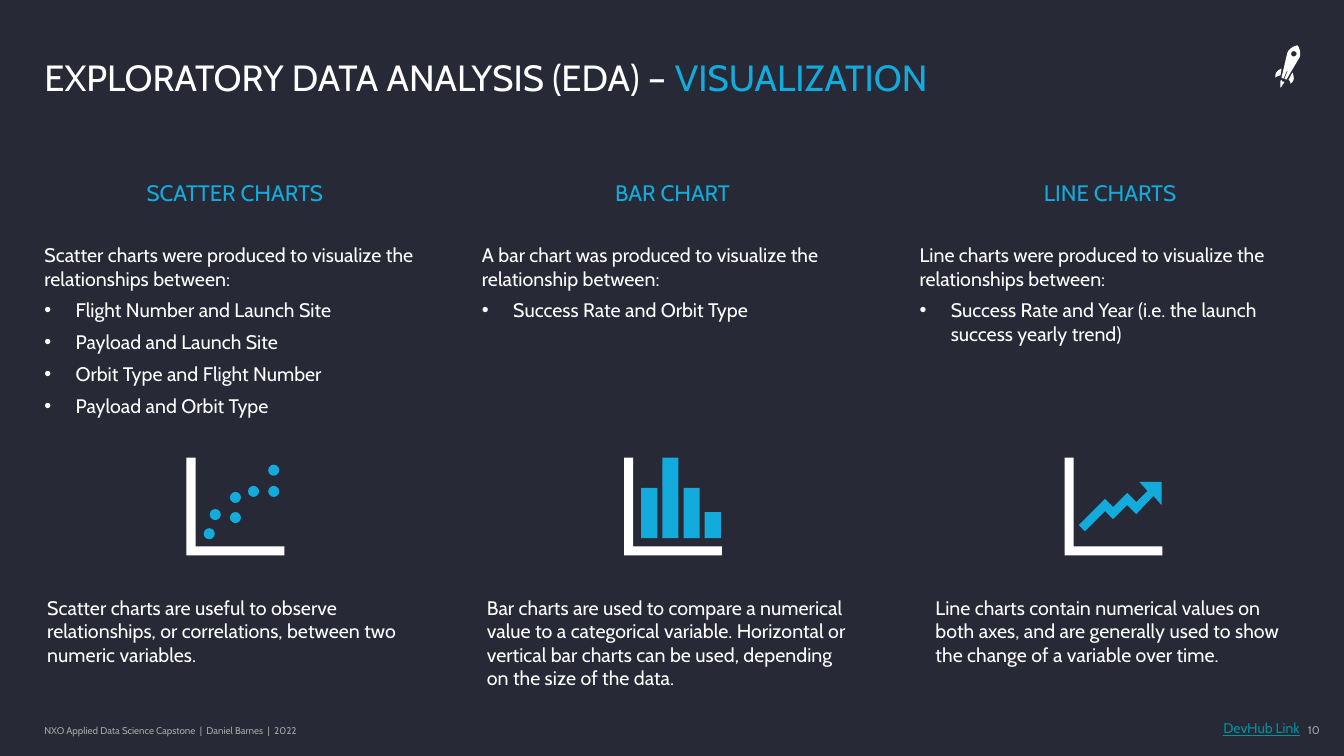
import pptx
import pptx.util
import pptx.dml.color
import pptx.enum.shapes
import pptx.enum.text
import pptx.oxml.ns
from lxml import etree

Inches = pptx.util.Inches
Pt = pptx.util.Pt
ALIGN = pptx.enum.text.PP_ALIGN
ANCHOR = pptx.enum.text.MSO_ANCHOR
SHAPE = pptx.enum.shapes.MSO_SHAPE

FONT = "Cabin"
BULLET_FONT = "Arial"
COLORS = {"background": "272936", "white": "FFFFFF", "accent": "12ABDB",
          "footer": "A6A6A6", "link": "00929B"}

TITLE = [("EXPLORATORY DATA ANALYSIS (EDA) – ", "white"), ("VISUALIZATION", "accent")]
FOOTER = "NXO Applied Data Science Capstone  |  Daniel Barnes  |  2022"
PAGE_NUMBER = "10"
LINK_LABEL = "DevHub Link"

COLUMNS = [
    {"heading": "SCATTER CHARTS",
     "intro": "Scatter charts were produced to visualize the relationships between:",
     "bullets": ["Flight Number and Launch Site", "Payload and Launch Site",
                 "Orbit Type and Flight Number", "Payload and Orbit Type"],
     "note": "Scatter charts are useful to observe relationships, or correlations, "
             "between two numeric variables.",
     "icon": "scatter", "icon_left": 1.85, "note_left": 0.37},
    {"heading": "BAR CHART",
     "intro": "A bar chart was produced to visualize the relationship between:",
     "bullets": ["Success Rate and Orbit Type"],
     "note": "Bar charts are used to compare a numerical value to a categorical variable. "
             "Horizontal or vertical bar charts can be used, depending on the size of the data.",
     "icon": "bar", "icon_left": 6.19, "note_left": 4.73},
    {"heading": "LINE CHARTS",
     "intro": "Line charts were produced to visualize the relationships between:",
     "bullets": ["Success Rate and Year (i.e. the launch success yearly trend)"],
     "note": "Line charts contain numerical values on both axes, and are generally used "
             "to show the change of a variable over time.",
     "icon": "line", "icon_left": 10.56, "note_left": 9.18},
]
COLUMN_LEFT, COLUMN_PITCH, COLUMN_WIDTH = 0.44, 4.34, 3.78

# Icon parts are offsets from the icon's top left corner
ICON_TOP, ICON_SIZE, AXIS_WIDTH = 4.54, 0.97, 0.09
DOT_SIZE = 0.11
DOTS = [(0.17, 0.7), (0.23, 0.51), (0.43, 0.54), (0.43, 0.34),
        (0.61, 0.28), (0.81, 0.28), (0.81, 0.07)]
BAR_HEIGHTS = [0.5, 0.8, 0.5, 0.26]
BAR_LEFT, BAR_PITCH, BAR_WIDTH, BAR_BASE = 0.17, 0.21, 0.16, 0.8
TREND_ARROW = [(0.74, 0.24), (0.82, 0.33), (0.71, 0.44), (0.62, 0.35), (0.48, 0.49),
               (0.4, 0.41), (0.14, 0.67), (0.2, 0.73), (0.4, 0.53), (0.48, 0.61),
               (0.62, 0.47), (0.71, 0.56), (0.88, 0.38), (0.96, 0.47), (0.96, 0.24)]

# Each contour: a start point, then lines (one point) or cubic curves (three points)
ROCKET = [
    ((12.7, 0.87), [
        [(12.7, 0.86), (12.7, 0.84), (12.7, 0.83)],
        [(12.7, 0.82), (12.7, 0.81), (12.7, 0.8)],
        [(12.7, 0.8), (12.71, 0.8), (12.71, 0.79)],
        [(12.71, 0.8), (12.72, 0.81), (12.72, 0.81)],
        [(12.73, 0.81), (12.74, 0.81), (12.74, 0.81)],
        [(12.74, 0.82), (12.73, 0.83), (12.72, 0.84)],
        [(12.72, 0.85), (12.71, 0.86), (12.7, 0.87)]]),
    ((12.8, 0.83), [
        [(12.8, 0.81), (12.79, 0.8), (12.78, 0.79)],
        [(12.79, 0.78), (12.8, 0.75), (12.82, 0.72)],
        [(12.83, 0.75), (12.85, 0.8), (12.8, 0.83)]]),
    ((12.65, 0.77), [
        [(12.64, 0.71), (12.69, 0.69), (12.71, 0.68)],
        [(12.71, 0.71), (12.7, 0.74), (12.7, 0.75)],
        [(12.68, 0.75), (12.66, 0.76), (12.65, 0.77)]]),
    ((12.74, 0.78), [
        [(12.77, 0.71)], [(12.77, 0.7)], [(12.76, 0.71)], [(12.73, 0.78)], [(12.71, 0.77)],
        [(12.72, 0.74), (12.76, 0.55), (12.77, 0.52)],
        [(12.79, 0.47), (12.86, 0.45), (12.87, 0.45)],
        [(12.88, 0.46), (12.91, 0.52), (12.89, 0.57)],
        [(12.86, 0.62), (12.77, 0.77), (12.76, 0.79)]]),
    ((12.84, 0.51), [
        [(12.83, 0.5), (12.82, 0.51), (12.81, 0.52)],
        [(12.8, 0.54), (12.81, 0.55), (12.82, 0.56)],
        [(12.84, 0.56), (12.85, 0.56), (12.86, 0.54)],
        [(12.86, 0.53), (12.86, 0.51), (12.84, 0.51)]]),
]


def rgb(name):
    return pptx.dml.color.RGBColor.from_string(COLORS[name])


def paint(shape, color):
    shape.shadow.inherit = False
    shape.fill.solid()
    shape.fill.fore_color.rgb = rgb(color)
    shape.line.fill.background()


def add_block(slide, kind, left, top, width, height, color):
    paint(slide.shapes.add_shape(kind, Inches(left), Inches(top),
                                 Inches(width), Inches(height)), color)


def add_outline(slide, contours, color):
    """Draw closed polygons, given in inches, as one shape."""
    contours = [[(Inches(x), Inches(y)) for x, y in contour] for contour in contours]
    builder = slide.shapes.build_freeform(*contours[0][0], scale=1.0)
    for index, (start, *rest) in enumerate(contours):
        if index:
            builder.move_to(*start)
        builder.add_line_segments(rest, close=True)
    paint(builder.convert_to_shape(), color)


def flatten(start, segments, steps=6):
    """Turn a contour of lines and cubic curves into polygon points."""
    points = [start]
    for segment in segments:
        if len(segment) == 1:
            points += segment
            continue
        corners = [points[-1], *segment]
        for step in range(1, steps + 1):
            t = step / steps
            weights = ((1 - t) ** 3, 3 * t * (1 - t) ** 2, 3 * t * t * (1 - t), t ** 3)
            points.append(tuple(sum(w * c[axis] for w, c in zip(weights, corners))
                                for axis in (0, 1)))
    return points


def add_text(slide, box, paragraphs, size, align=ALIGN.LEFT, anchor=ANCHOR.TOP,
             insets=(0, 0), after=0, spacing=None, underline=None):
    """Add a text box; each paragraph is (runs, bulleted), each run (text, color)."""
    frame = slide.shapes.add_textbox(*map(Inches, box)).text_frame
    frame.word_wrap = True
    frame.vertical_anchor = anchor
    frame.margin_left = frame.margin_right = Inches(insets[0])
    frame.margin_top = frame.margin_bottom = Inches(insets[1])
    for index, (runs, bulleted) in enumerate(paragraphs):
        paragraph = frame.add_paragraph() if index else frame.paragraphs[0]
        if bulleted:
            properties = paragraph._p.get_or_add_pPr()
            properties.set("marL", str(Inches(0.31)))
            properties.set("indent", str(-Inches(0.31)))
            for tag, key, value in (("a:buFont", "typeface", BULLET_FONT),
                                    ("a:buChar", "char", "•")):
                etree.SubElement(properties, pptx.oxml.ns.qn(tag)).set(key, value)
        paragraph.alignment = align
        paragraph.space_after = Pt(after)
        if spacing:
            paragraph.line_spacing = spacing
        for text, color in runs:
            run = paragraph.add_run()
            run.text = text
            run.font.name = FONT
            run.font.size = Pt(size)
            run.font.color.rgb = rgb(color)
            run.font.underline = underline


def add_icon(slide, kind, left):
    top, right, bottom = ICON_TOP, left + ICON_SIZE, ICON_TOP + ICON_SIZE
    inner_x, inner_y = left + AXIS_WIDTH, bottom - AXIS_WIDTH
    add_outline(slide, [[(inner_x, top), (left, top), (left, bottom), (right, bottom),
                         (right, inner_y), (inner_x, inner_y)]], "white")
    if kind == "scatter":
        for x, y in DOTS:
            add_block(slide, SHAPE.OVAL, left + x, top + y, DOT_SIZE, DOT_SIZE, "accent")
    elif kind == "bar":
        for index, height in enumerate(BAR_HEIGHTS):
            add_block(slide, SHAPE.RECTANGLE, left + BAR_LEFT + index * BAR_PITCH,
                      top + BAR_BASE - height, BAR_WIDTH, height, "accent")
    else:
        add_outline(slide, [[(left + x, top + y) for x, y in TREND_ARROW]], "accent")


def main():
    deck = pptx.Presentation()
    deck.slide_width, deck.slide_height = Inches(13.33), Inches(7.5)
    slide = deck.slides.add_slide(deck.slide_layouts[6])
    slide.background.fill.solid()
    slide.background.fill.fore_color.rgb = rgb("background")

    add_text(slide, (0.44, 7.13, 3.73, 0.24), [([(FOOTER, "footer")], False)], 7,
             anchor=ANCHOR.MIDDLE)
    add_text(slide, (12.84, 7.13, 0.25, 0.24), [([(PAGE_NUMBER, "footer")], False)], 8,
             align=ALIGN.RIGHT, insets=(0, 0.05))
    add_outline(slide, [flatten(*contour) for contour in ROCKET], "white")
    add_text(slide, (0.44, 0.21, 11.97, 0.78), [(TITLE, False)], 26,
             anchor=ANCHOR.BOTTOM, spacing=0.9)
    add_text(slide, (11.9, 7.09, 0.99, 0.28), [([(LINK_LABEL, "link")], False)], 10,
             align=ALIGN.RIGHT, insets=(0, 0.05), underline=True)

    for index, column in enumerate(COLUMNS):
        left = COLUMN_LEFT + index * COLUMN_PITCH
        add_text(slide, (left, 1.45, COLUMN_WIDTH, 0.92),
                 [([(column["heading"], "accent")], False)], 16,
                 align=ALIGN.CENTER, anchor=ANCHOR.MIDDLE, after=6)
        body = [([(column["intro"], "white")], False)]
        body += [([(item, "white")], True) for item in column["bullets"]]
        add_text(slide, (left, 2.41, COLUMN_WIDTH, 4.46), body, 14, after=6)
        add_icon(slide, column["icon"], column["icon_left"])
        add_text(slide, (column["note_left"], 5.86, COLUMN_WIDTH, 1.04),
                 [([(column["note"], "white")], False)], 14, insets=(0.1, 0.05))

    deck.save("out.pptx")


if __name__ == "__main__":
    main()
